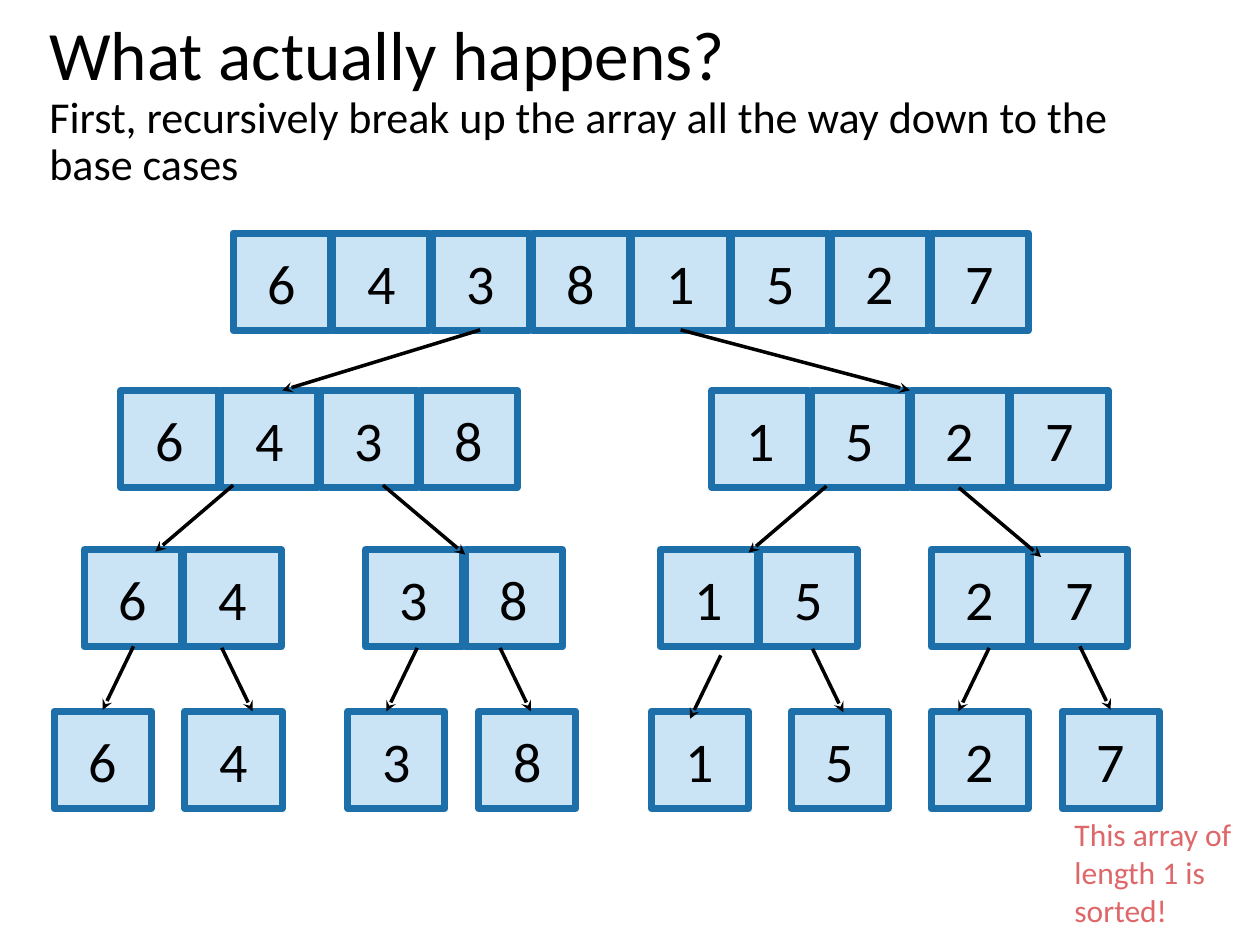
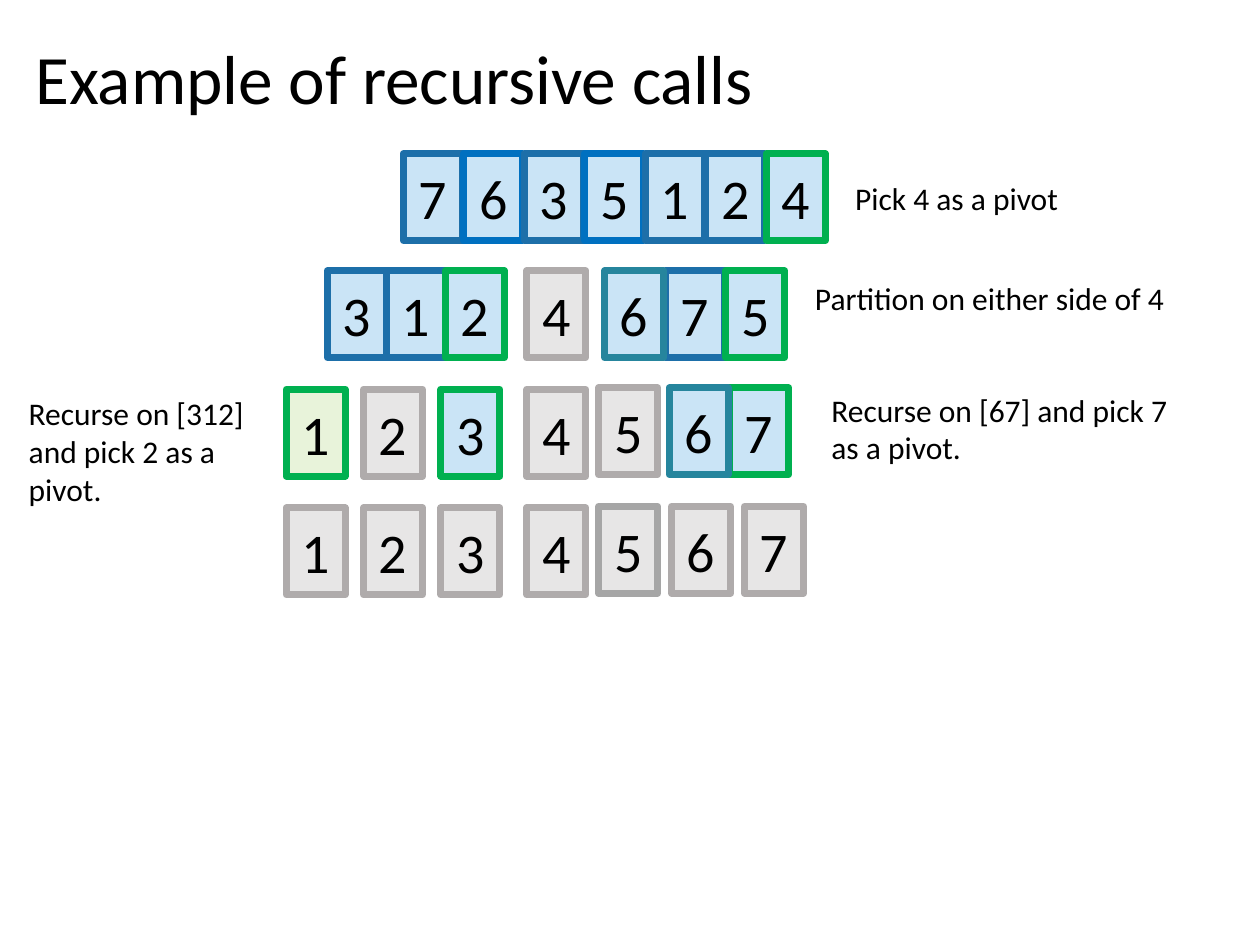
from lxml import etree
from pptx import Presentation
from pptx.dml.color import RGBColor
from pptx.enum.shapes import MSO_CONNECTOR, MSO_SHAPE
from pptx.enum.text import MSO_ANCHOR, MSO_AUTO_SIZE, PP_ALIGN
from pptx.oxml.ns import qn
from pptx.util import Cm, Pt

RECTANGLE = MSO_SHAPE.RECTANGLE
STRAIGHT = MSO_CONNECTOR.STRAIGHT
MIDDLE = MSO_ANCHOR.MIDDLE
LEFT, CENTER = PP_ALIGN.LEFT, PP_ALIGN.CENTER
NO_AUTOFIT, GROW = MSO_AUTO_SIZE.NONE, MSO_AUTO_SIZE.SHAPE_TO_FIT_TEXT

FONT = "Calibri"
BLACK, RED = "000000", "DE6769"
TITLE_ONLY_LAYOUT = 5

# Cell styles: fill and outline
ACTIVE = ("CAE4F6", "1D6FA9")
BRIGHT = ("CAE4F6", "0070C0")
TEAL = ("CAE4F6", "26859D")
PIVOT = ("CAE4F6", "00B050")
LAST_PIVOT = ("E8F3DA", "00B050")
DONE = ("E7E6E6", "AFABAB")
DONE_DARK = ("E7E6E6", "A6A6A6")

# All positions and sizes are in centimetres.
MERGE_TITLE = ["What actually happens?",
               "First, recursively break up the array all the way down to the base cases"]
MERGE_TITLE_BOX = (0.74, 0.28, 21.89, 3.68)
MERGE_CELL = (1.96, 1.96)
MERGE_PITCH = 2.01
# Level: top, then the left edge and digits of each array
MERGE_LEVELS = [
    (4.70, [(4.70, "64381527")]),
    (7.87, [(2.44, "6438"), (14.35, "1527")]),
    (11.08, [(1.70, "64"), (7.37, "38"), (13.31, "15"), (18.77, "27")]),
    (14.34, [(1.09, "6"), (3.73, "4"), (7.01, "3"), (9.65, "8"),
             (13.13, "1"), (15.95, "5"), (18.77, "2"), (21.41, "7")]),
]
# Arrows: horizontal and vertical reach, then the starting points that share it
SPLIT_ARROWS = [
    ((-3.99, 1.22), [(9.68, 6.65)]),
    ((4.62, 1.22), [(13.72, 6.65)]),
    ((-1.57, 1.34), [(4.70, 9.78), (16.66, 9.80)]),
    ((1.66, 1.40), [(7.72, 9.78), (19.33, 9.83)]),
    ((-0.62, 1.28), [(2.69, 13.03), (8.41, 13.06), (14.53, 13.21), (19.94, 13.06)]),
    ((0.62, 1.28), [(4.47, 13.06), (10.08, 13.06), (16.38, 13.08), (21.77, 13.03)]),
]
MERGE_NOTES = [("This array of length 1 is sorted!", (21.41, 16.31, 3.98, 2.57), RED)]

QUICK_TITLE = ["Example of recursive calls"]
QUICK_TITLE_BOX = (0.46, 0.81, 21.89, 1.68)
QUICK_CELL = (1.19, 1.75)
# Run of cells: left, top, pitch, digits, styles
QUICK_RUNS = [
    (8.13, 3.10, 1.22, "7635124",
     [ACTIVE, BRIGHT, ACTIVE, BRIGHT, ACTIVE, ACTIVE, PIVOT]),
    (6.60, 5.46, 1.19, "312", [ACTIVE, ACTIVE, PIVOT]),
    (10.62, 5.46, 0, "4", [DONE]),
    (12.19, 5.46, 1.22, "675", [TEAL, ACTIVE, PIVOT]),
    (5.77, 7.85, 1.56, "123", [LAST_PIVOT, DONE, PIVOT]),
    (10.62, 7.85, 0, "4", [DONE]),
    (12.07, 7.82, 0, "5", [DONE]),
    (13.49, 7.82, 1.22, "67", [TEAL, PIVOT]),
    (5.77, 10.24, 1.56, "123", [DONE] * 3),
    (10.62, 10.24, 0, "4", [DONE]),
    (12.07, 10.21, 1.47, "567", [DONE_DARK, DONE, DONE]),
]
QUICK_NOTES = [
    ("Pick 4 as a pivot", (16.99, 3.48, 5.46, 1.02), BLACK),
    ("Partition on either side of 4", (16.18, 5.51, 7.85, 1.02), BLACK),
    ("Recurse on [67] and pick 7 as a pivot.", (16.51, 7.75, 7.52, 1.80), BLACK),
    ("Recurse on [312] and pick 2 as a pivot.", (0.33, 7.82, 5.05, 2.57), BLACK),
]


def color(hex_string):
    return RGBColor.from_string(hex_string)


def lengths(*values):
    return [Cm(value) for value in values]


def set_font(paragraph, size, font_color=BLACK):
    paragraph.font.name = FONT
    paragraph.font.size = Pt(size)
    paragraph.font.color.rgb = color(font_color)


def add_titled_slide(presentation, lines, box):
    """Add a slide whose first title line is large and any later line smaller."""
    slide = presentation.slides.add_slide(presentation.slide_layouts[TITLE_ONLY_LAYOUT])
    title = slide.shapes.title
    title.left, title.top, title.width, title.height = lengths(*box)
    frame = title.text_frame
    frame.auto_size = NO_AUTOFIT
    frame.vertical_anchor = MIDDLE
    paragraph = frame.paragraphs[0]
    paragraph.alignment = LEFT
    paragraph.line_spacing = 0.9
    set_font(paragraph, 39.6)
    paragraph.add_run().text = lines[0]
    for line in lines[1:]:
        paragraph.add_line_break()
        run = paragraph.add_run()
        run.text = line
        run.font.size = Pt(25.2)
    return slide


def add_cell(shapes, left, top, size, digit, style):
    fill, outline = style
    cell = shapes.add_shape(RECTANGLE, *lengths(left, top, *size))
    cell.shadow.inherit = False
    cell.fill.solid()
    cell.fill.fore_color.rgb = color(fill)
    cell.line.color.rgb = color(outline)
    cell.line.width = Pt(4)
    cell.text_frame.vertical_anchor = MIDDLE
    paragraph = cell.text_frame.paragraphs[0]
    paragraph.text = digit
    paragraph.alignment = CENTER
    set_font(paragraph, 32)


def add_run_of_cells(shapes, left, top, pitch, size, digits, styles):
    """Place cells at an equal pitch; teal cells overlap their neighbours."""
    cells = list(enumerate(zip(digits, styles)))
    for index, (digit, style) in sorted(cells, key=lambda cell: cell[1][1] == TEAL):
        add_cell(shapes, left + index * pitch, top, size, digit, style)


def add_arrow(slide, start, reach):
    end = (start[0] + reach[0], start[1] + reach[1])
    arrow = slide.shapes.add_connector(STRAIGHT, *lengths(*start, *end))
    arrow.line.color.rgb = color(BLACK)
    arrow.line.width = Pt(2)
    etree.SubElement(arrow.line._get_or_add_ln(), qn("a:tailEnd"), type="stealth")
    etree.SubElement(arrow._element.spPr, qn("a:effectLst"))


def add_notes(slide, notes):
    for text, box, font_color in notes:
        frame = slide.shapes.add_textbox(*lengths(*box)).text_frame
        frame.word_wrap = True
        frame.auto_size = GROW
        frame.paragraphs[0].text = text
        set_font(frame.paragraphs[0], 18, font_color)


def build_merge_slide(presentation):
    slide = add_titled_slide(presentation, MERGE_TITLE, MERGE_TITLE_BOX)
    for top, arrays in MERGE_LEVELS:
        level = slide.shapes.add_group_shape()
        for left, digits in arrays:
            add_run_of_cells(level.shapes, left, top, MERGE_PITCH, MERGE_CELL,
                             digits, [ACTIVE] * len(digits))
    for reach, starts in SPLIT_ARROWS:
        for start in starts:
            add_arrow(slide, start, reach)
    add_notes(slide, MERGE_NOTES)


def build_quick_slide(presentation):
    slide = add_titled_slide(presentation, QUICK_TITLE, QUICK_TITLE_BOX)
    for left, top, pitch, digits, styles in QUICK_RUNS:
        add_run_of_cells(slide.shapes, left, top, pitch, QUICK_CELL, digits, styles)
    add_notes(slide, QUICK_NOTES)


def main():
    presentation = Presentation()
    presentation.slide_width, presentation.slide_height = lengths(25.4, 19.05)
    build_merge_slide(presentation)
    build_quick_slide(presentation)
    presentation.save("out.pptx")


if __name__ == "__main__":
    main()
